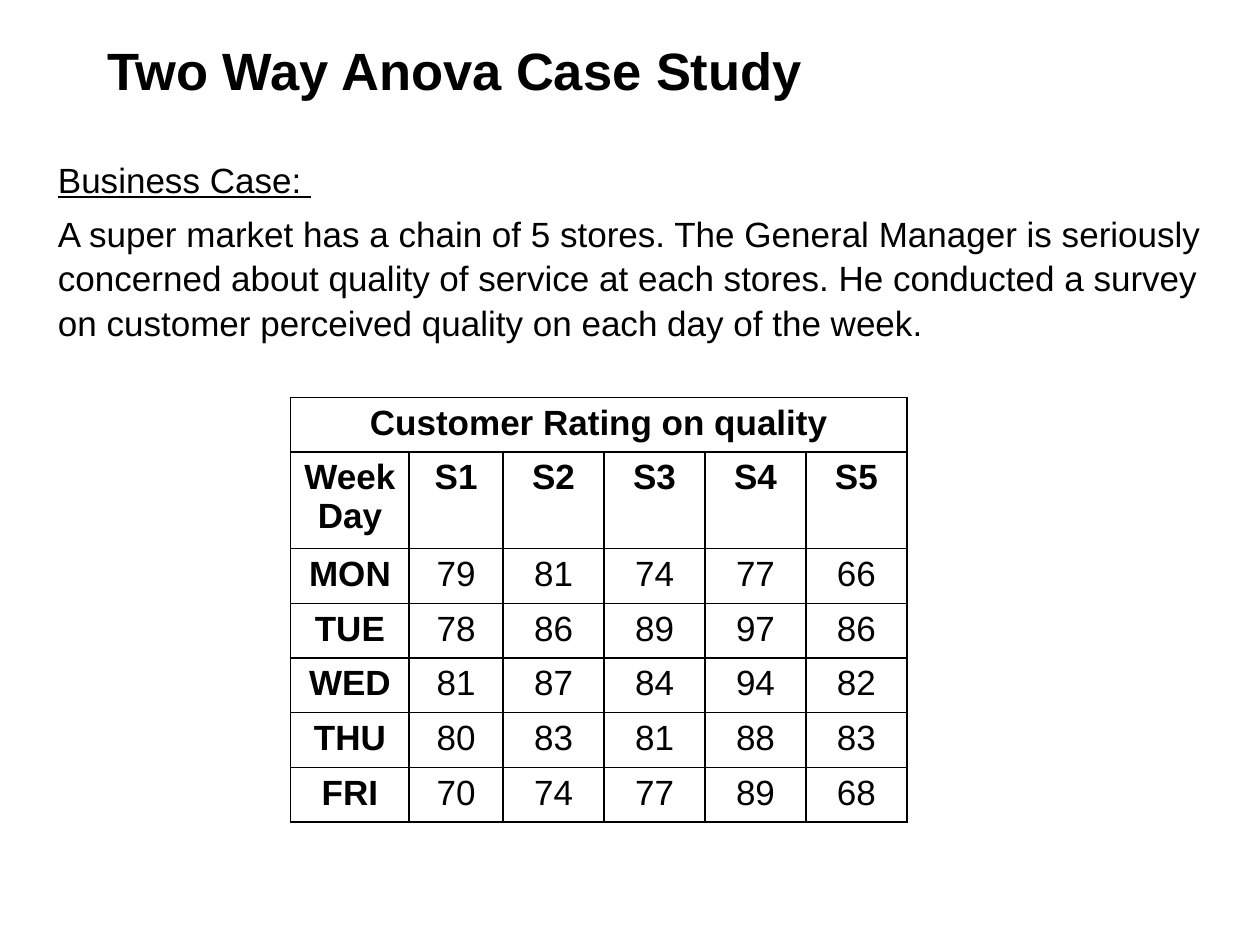
from lxml import etree
from pptx import Presentation
from pptx.dml.color import RGBColor
from pptx.enum import text
from pptx.oxml import ns
from pptx.util import Pt

BLACK = RGBColor(0, 0, 0)
FONT = "Arial"
TITLE_ONLY = 5

BUSINESS_CASE = (
    "A super market has a chain of 5 stores. The General Manager is seriously "
    "concerned about quality of service at each stores. He conducted a survey "
    "on customer perceived quality on each day of the week."
)
TABLE_TITLE = "Customer Rating on quality"
HEADER = ["Week Day", "S1", "S2", "S3", "S4", "S5"]
RATINGS = {
    "MON": [79, 81, 74, 77, 66],
    "TUE": [78, 86, 89, 97, 86],
    "WED": [81, 87, 84, 94, 82],
    "THU": [80, 83, 81, 88, 83],
    "FRI": [70, 74, 77, 89, 68],
}
COLUMN_WIDTHS = [67.7, 53.7] + [57.7] * 4
ROW_HEIGHT = 31.25
HEADER_HEIGHT = 55


def format_runs(paragraph, size, bold=False, underline=False):
    for run in paragraph.runs:
        font = run.font
        font.name = FONT
        font.size = Pt(size)
        font.bold = bold
        font.underline = underline
        font.color.rgb = BLACK


def place(shape, left, top, width, height):
    shape.left, shape.top = Pt(left), Pt(top)
    shape.width, shape.height = Pt(width), Pt(height)


def add_title(slide, words):
    title = slide.shapes.title
    place(title, 36, 11.5, 648, 44)
    frame = title.text_frame
    frame.text = words
    frame.word_wrap = True
    frame.auto_size = text.MSO_AUTO_SIZE.NONE
    frame.vertical_anchor = text.MSO_ANCHOR.TOP
    frame.margin_left, frame.margin_top = Pt(25.2), Pt(10.4)
    frame.margin_right = frame.margin_bottom = Pt(7.2)
    paragraph = frame.paragraphs[0]
    paragraph.alignment = text.PP_ALIGN.LEFT
    paragraph.line_spacing = 1.0
    format_runs(paragraph, 30, bold=True)


def add_business_case(slide):
    box = slide.shapes.add_textbox(Pt(26), Pt(85.7), Pt(683.3), Pt(110))
    frame = box.text_frame
    frame.word_wrap = True
    heading = frame.paragraphs[0]
    heading.text = "Business Case: "
    body = frame.add_paragraph()
    body.text = BUSINESS_CASE
    for paragraph in (heading, body):
        paragraph.line_spacing = 1.05
        paragraph.space_after = Pt(6)
        format_runs(paragraph, 20, underline=paragraph is heading)


def add_borders(cell):
    """Draw a thin black line on all four sides, ahead of the cell's fill."""
    properties = cell._tc.get_or_add_tcPr()
    for position, side in enumerate(("lnL", "lnR", "lnT", "lnB")):
        line = etree.Element(ns.qn(f"a:{side}"), w=str(Pt(1)))
        fill = etree.SubElement(line, ns.qn("a:solidFill"))
        etree.SubElement(fill, ns.qn("a:srgbClr"), val=str(BLACK))
        properties.insert(position, line)


def fill_cell(cell, value, bold):
    cell.fill.background()
    add_borders(cell)
    cell.text = str(value)
    paragraph = cell.text_frame.paragraphs[0]
    paragraph.alignment = text.PP_ALIGN.CENTER
    format_runs(paragraph, 20, bold=bold)


def add_ratings_table(slide):
    rows = [[TABLE_TITLE] + [""] * (len(HEADER) - 1), HEADER]
    rows += [[day, *scores] for day, scores in RATINGS.items()]
    heights = [ROW_HEIGHT, HEADER_HEIGHT] + [ROW_HEIGHT] * len(RATINGS)
    frame = slide.shapes.add_table(
        len(rows), len(HEADER), Pt(166.1), Pt(227),
        Pt(sum(COLUMN_WIDTHS)), Pt(sum(heights)))
    table = frame.table
    table.first_row = table.horz_banding = False
    for column, width in zip(table.columns, COLUMN_WIDTHS):
        column.width = Pt(width)
    for row, height in zip(table.rows, heights):
        row.height = Pt(height)
    for row_index, values in enumerate(rows):
        for column_index, value in enumerate(values):
            bold = row_index < 2 or column_index == 0
            fill_cell(table.cell(row_index, column_index), value, bold)
    table.cell(0, 0).merge(table.cell(0, len(HEADER) - 1))


def main():
    presentation = Presentation()
    presentation.slide_width, presentation.slide_height = Pt(720), Pt(540)
    slide = presentation.slides.add_slide(presentation.slide_layouts[TITLE_ONLY])
    add_title(slide, "Two Way Anova Case Study")
    add_business_case(slide)
    add_ratings_table(slide)
    presentation.save("out.pptx")


if __name__ == "__main__":
    main()
